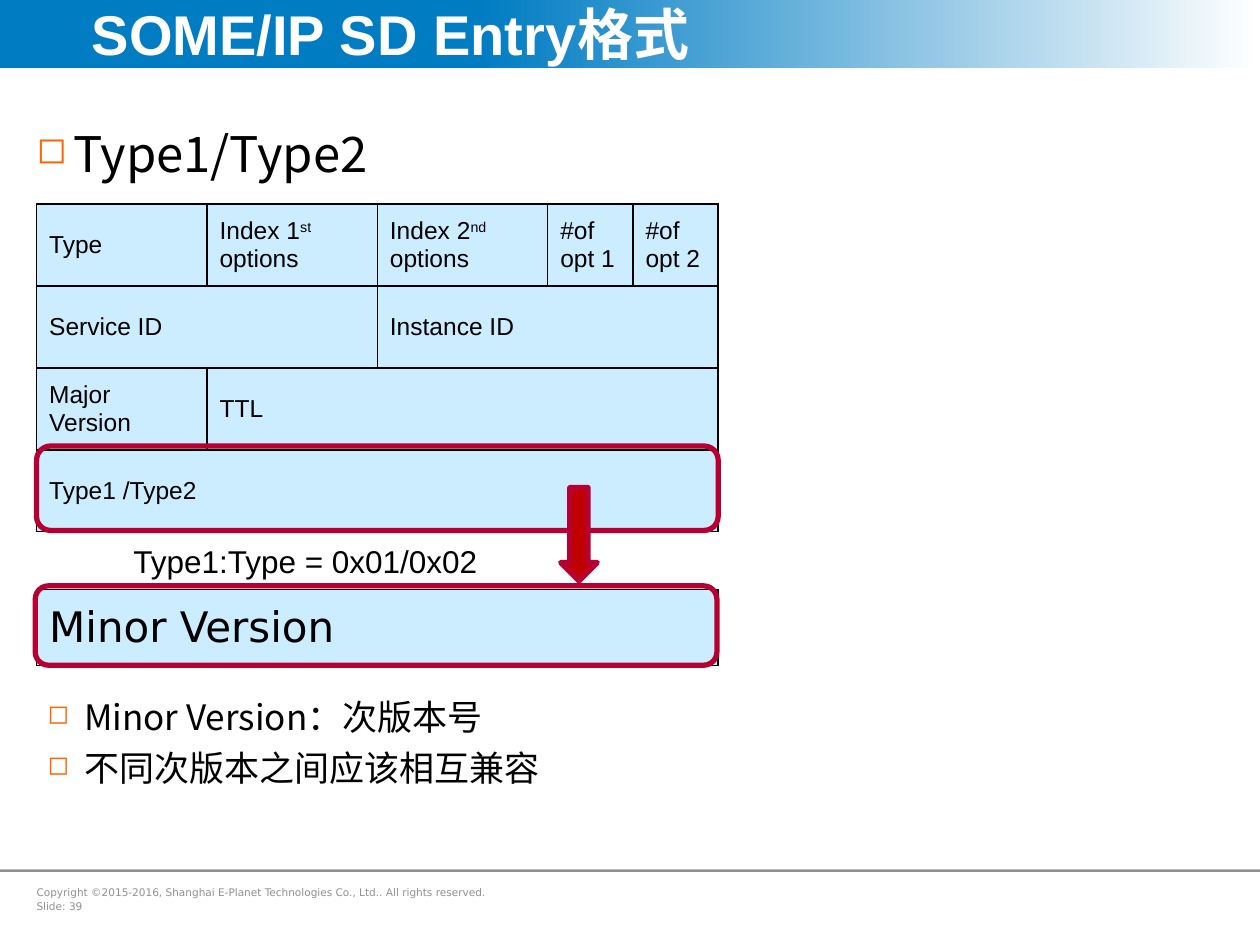
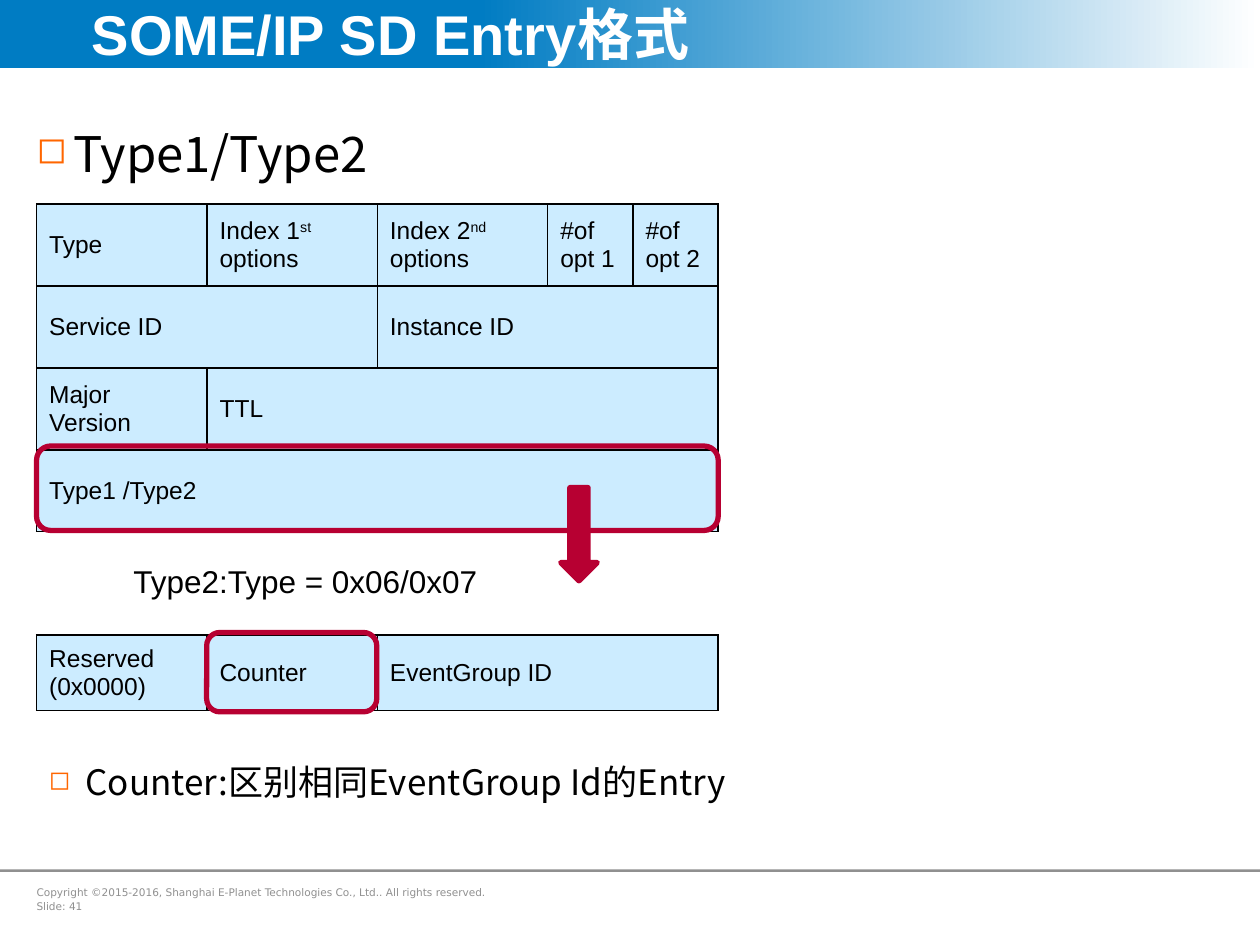
from dataclasses import dataclass
from copy import deepcopy

from lxml import etree
from pptx import Presentation
from pptx.dml.color import RGBColor
from pptx.enum.shapes import MSO_SHAPE
from pptx.enum.text import MSO_ANCHOR, MSO_AUTO_SIZE, PP_ALIGN
from pptx.oxml.ns import qn
from pptx.util import Inches, Pt

RECTANGLE = MSO_SHAPE.RECTANGLE
ROUNDED = MSO_SHAPE.ROUNDED_RECTANGLE
DOWN_ARROW = MSO_SHAPE.DOWN_ARROW
TOP, MIDDLE = MSO_ANCHOR.TOP, MSO_ANCHOR.MIDDLE
NO_AUTOFIT = MSO_AUTO_SIZE.NONE
LEFT = PP_ALIGN.LEFT
TITLE_ONLY = 5


@dataclass(frozen=True)
class TextStyle:
    size: int
    font: str
    color: str = "000000"
    bold: bool = False


@dataclass(frozen=True)
class Theme:
    blue: str = "007CC3"
    white: str = "FFFFFF"
    black: str = "000000"
    grey: str = "909090"
    orange: str = "FF6600"
    cell: str = "CCECFF"
    crimson: str = "B70032"
    red: str = "C00000"
    east_asian: str = "Noto Sans CJK SC"
    title: TextStyle = TextStyle(32, "Arial", "FFFFFF", True)
    heading: TextStyle = TextStyle(28, "Noto Sans CJK SC")
    note: TextStyle = TextStyle(20, "Noto Sans CJK SC")
    caption: TextStyle = TextStyle(18, "Arial")
    field: TextStyle = TextStyle(14, "Arial")
    large_field: TextStyle = TextStyle(24, "DejaVu Sans")
    footer: TextStyle = TextStyle(6, "DejaVu Sans", "909090")


THEME = Theme()
TABLE_LEFT, TABLE_WIDTH = 0.29, 5.41
COLUMN_UNIT = TABLE_WIDTH / 8
HEADER_ROW = 0.65
DETAIL_ROW = 0.6
TITLE = "SOME/IP SD Entry格式"
COPYRIGHT = "Copyright ©2015-2016, Shanghai E-Planet Technologies Co., Ltd.. All rights reserved."

# Each field: row, first column, columns spanned, text (^ marks superscript)
ENTRY_FIELDS = [
    (0, 0, 1, "Type"),
    (0, 1, 1, "Index 1^st^ options"),
    (0, 2, 1, "Index 2^nd^ options"),
    (0, 3, 1, "#of opt 1"),
    (0, 4, 1, "#of opt 2"),
    (1, 0, 2, "Service ID"),
    (1, 2, 3, "Instance ID"),
    (2, 0, 1, "Major Version"),
    (2, 1, 4, "TTL"),
    (3, 0, 5, "Type1 /Type2"),
]


def rgb(color):
    return RGBColor.from_string(color)


class SlideBuilder:
    def __init__(self, deck, theme):
        self.deck = deck
        self.theme = theme
        self.page = None

    def start(self, title, number):
        """Add a slide with the shared band, title, rule and footer."""
        theme = self.theme
        self.page = self.deck.slides.add_slide(self.deck.slide_layouts[TITLE_ONLY])
        heading = self.page.shapes.title
        self.band(heading)
        heading.left, heading.top = Inches(0.73), Inches(0)
        heading.width, heading.height = Inches(7.85), Inches(0.53)
        self.fill_frame(heading.text_frame, title, theme.title, MIDDLE, inset=0)
        self.shape(RECTANGLE, 0, 6.9, 10, 0.02, fill=theme.grey)
        self.text(0.29, 6.98, 3.84, 0.32, f"{COPYRIGHT}\nSlide: {number}",
                  theme.footer, inset=0, gap=1.2)

    def band(self, heading):
        """Draw the gradient band behind the title."""
        band = self.shape(RECTANGLE, 0, 0, 10, 0.54)
        band.fill.gradient()
        band.fill.gradient_angle = 0
        first = band._element.spPr.find(".//" + qn("a:gs"))
        first.addnext(deepcopy(first))
        colors = (self.theme.blue, self.theme.blue, self.theme.white)
        for stop, position, color in zip(band.fill.gradient_stops, (0, 0.38, 1), colors):
            stop.position = position
            stop.color.rgb = rgb(color)
        heading._element.addprevious(band._element)

    def shape(self, kind, left, top, width, height, fill=None, line=None):
        shape = self.page.shapes.add_shape(
            kind, Inches(left), Inches(top), Inches(width), Inches(height))
        shape.shadow.inherit = False
        if fill:
            shape.fill.solid()
            shape.fill.fore_color.rgb = rgb(fill)
        else:
            shape.fill.background()
        if line:
            shape.line.color.rgb = rgb(line)
            shape.line.width = Pt(3)
        else:
            shape.line.fill.background()
        return shape

    def highlight(self, left, top, width, height):
        self.shape(ROUNDED, left, top, width, height, line=self.theme.crimson)

    def text(self, left, top, width, height, text, style, inset=0.1, gap=0, bullets=False):
        box = self.page.shapes.add_textbox(
            Inches(left), Inches(top), Inches(width), Inches(height))
        self.fill_frame(box.text_frame, text, style, TOP, inset, gap, bullets)

    def fill_frame(self, frame, text, style, anchor, inset, gap=0, bullets=False):
        frame.word_wrap = True
        frame.auto_size = NO_AUTOFIT
        frame.vertical_anchor = anchor
        frame.margin_left = frame.margin_right = Inches(inset)
        frame.margin_top = frame.margin_bottom = Inches(0.05)
        self.add_lines(frame, text, style, gap, bullets)

    def add_lines(self, frame, text, style, gap=0, bullets=False):
        """Add one paragraph per line, with superscript between ^ marks."""
        for index, line in enumerate(text.split("\n")):
            para = frame.add_paragraph() if index else frame.paragraphs[0]
            para.alignment = LEFT
            para.space_before = Pt(gap if index else 0)
            if bullets:
                self.bullet(para)
            for part, words in enumerate(line.split("^")):
                self.span(para, words, style, raised=part % 2)

    def bullet(self, para):
        props = para._p.get_or_add_pPr()
        props.set("marL", str(Inches(0.29)))
        props.set("indent", str(-Inches(0.29)))
        color = etree.SubElement(props, qn("a:buClr"))
        etree.SubElement(color, qn("a:srgbClr"), val=self.theme.orange)
        etree.SubElement(props, qn("a:buSzPct"), val="75000")
        etree.SubElement(props, qn("a:buChar"), char="◻")

    def span(self, para, words, style, raised):
        span = para.add_run()
        span.text = words
        span.font.size = Pt(style.size)
        span.font.name = style.font
        span.font.bold = style.bold
        span.font.color.rgb = rgb(style.color)
        props = span._r.get_or_add_rPr()
        props.find(qn("a:latin")).addnext(
            props.makeelement(qn("a:ea"), {"typeface": self.theme.east_asian}))
        if raised:
            props.set("baseline", "30000")

    def table(self, top, row_height, units, fields, style):
        """Draw a field table whose column widths are given in eighths."""
        rows = fields[-1][0] + 1
        table = self.page.shapes.add_table(
            rows, len(units), Inches(TABLE_LEFT), Inches(top),
            Inches(TABLE_WIDTH), Inches(rows * row_height)).table
        table.first_row = table.horz_banding = False
        for column, unit in zip(table.columns, units):
            column.width = Inches(unit * COLUMN_UNIT)
        for row in table.rows:
            row.height = Inches(row_height)
        for cell in table.iter_cells():
            self.border(cell)
            cell.fill.solid()
            cell.fill.fore_color.rgb = rgb(self.theme.cell)
            cell.vertical_anchor = MIDDLE
        for row, column, columns, text in fields:
            cell = table.cell(row, column)
            if columns > 1:
                cell.merge(table.cell(row, column + columns - 1))
            self.add_lines(cell.text_frame, text, style)

    def border(self, cell):
        props = cell._tc.get_or_add_tcPr()
        for side in ("a:lnL", "a:lnR", "a:lnT", "a:lnB"):
            edge = etree.SubElement(props, qn(side), w=str(Pt(1)))
            fill = etree.SubElement(edge, qn("a:solidFill"))
            etree.SubElement(fill, qn("a:srgbClr"), val=self.theme.black)

    def entry_slide(self, number, arrow_color):
        """Start a slide with the entry table and its last row singled out."""
        self.start(TITLE, number)
        self.text(0.29, 0.93, 9.24, 0.66, "Type1/Type2", self.theme.heading,
                  inset=0, bullets=True)
        self.table(1.62, HEADER_ROW, (2, 2, 2, 1, 1), ENTRY_FIELDS, self.theme.field)
        self.highlight(TABLE_LEFT, 3.54, TABLE_WIDTH, 0.67)
        self.shape(DOWN_ARROW, 4.45, 3.87, 0.29, 0.74, arrow_color, self.theme.crimson)

    def caption(self, top, text):
        self.text(0.96, top, 3.19, 0.4, text, self.theme.caption)

    def notes(self, left, top, width, height, text):
        self.text(left, top, width, height, text, self.theme.note, gap=5, bullets=True)


def build_type1(builder):
    theme = builder.theme
    builder.entry_slide(39, theme.red)
    builder.table(4.68, DETAIL_ROW, (8,), [(0, 0, 1, "Minor Version")], theme.large_field)
    builder.caption(4.25, "Type1:Type = 0x01/0x02")
    builder.highlight(0.28, 4.65, TABLE_WIDTH, 0.63)
    builder.notes(0.28, 5.47, 8.93, 1.35, "Minor Version：次版本号\n不同次版本之间应该相互兼容")


def build_type2(builder):
    theme = builder.theme
    builder.entry_slide(41, theme.crimson)
    fields = [
        (0, 0, 1, "Reserved\n(0x0000)"),
        (0, 1, 1, "Counter"),
        (0, 2, 1, "EventGroup ID"),
    ]
    builder.table(5.04, DETAIL_ROW, (2, 2, 4), fields, theme.field)
    builder.caption(4.41, "Type2:Type = 0x06/0x07")
    builder.highlight(1.64, 5.02, 1.35, 0.63)
    builder.notes(0.29, 5.99, 8.61, 0.44, "Counter:区别相同EventGroup Id的Entry")


def main():
    deck = Presentation()
    deck.slide_width, deck.slide_height = Inches(10), Inches(7.5)
    builder = SlideBuilder(deck, THEME)
    build_type1(builder)
    build_type2(builder)
    deck.save("out.pptx")


if __name__ == "__main__":
    main()
